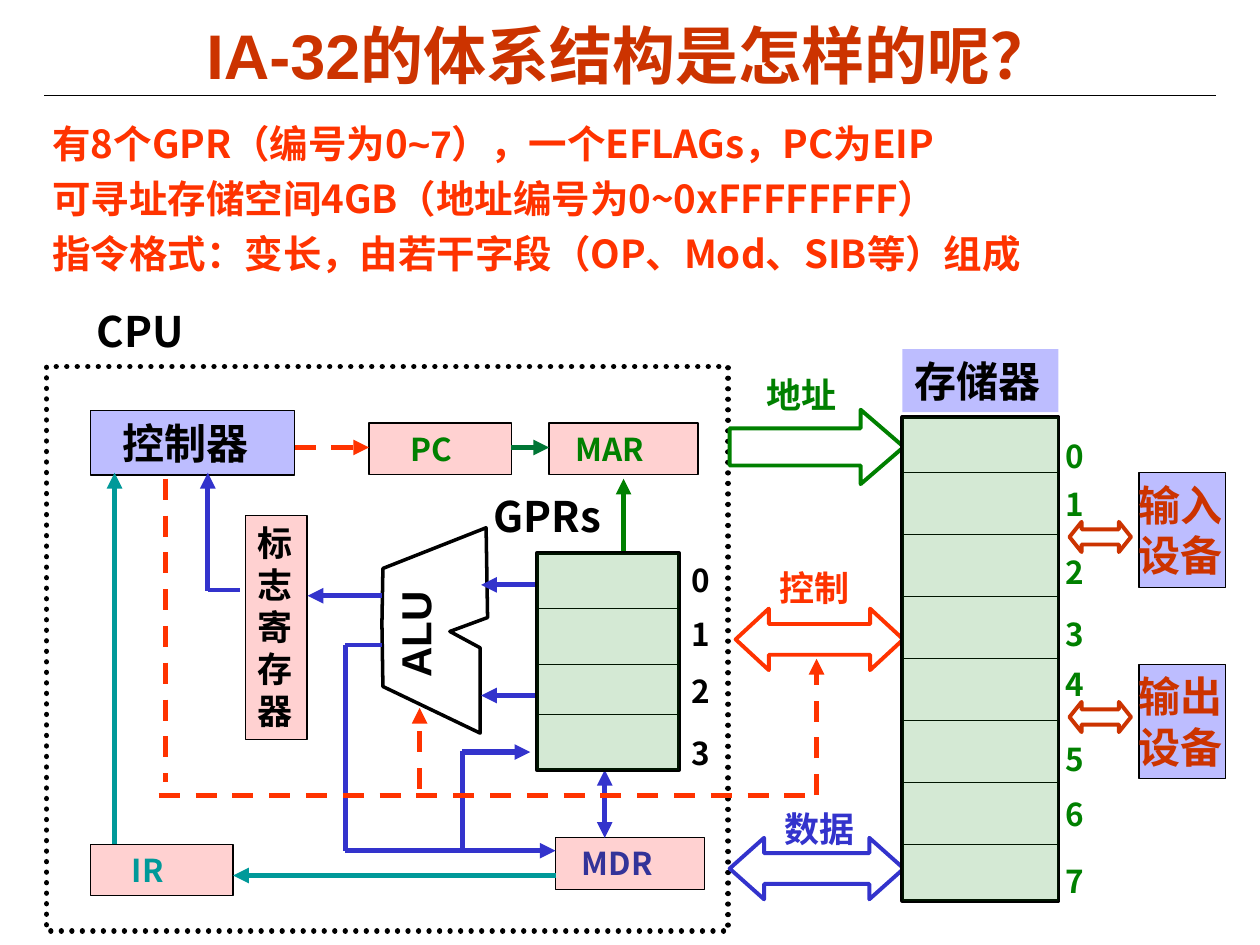
from lxml import etree
from pptx import Presentation
from pptx.dml.color import RGBColor
from pptx.enum.dml import MSO_LINE
from pptx.enum.shapes import MSO_CONNECTOR, MSO_SHAPE
from pptx.enum.text import MSO_ANCHOR, PP_ALIGN
from pptx.oxml.ns import qn
from pptx.util import Cm, Pt

RECT, RIGHT, BOTH = MSO_SHAPE.RECTANGLE, MSO_SHAPE.RIGHT_ARROW, MSO_SHAPE.LEFT_RIGHT_ARROW
STRAIGHT = MSO_CONNECTOR.STRAIGHT
DASH, DOT = MSO_LINE.DASH, MSO_LINE.ROUND_DOT
TOP, MIDDLE = MSO_ANCHOR.TOP, MSO_ANCHOR.MIDDLE
LEFT, CENTER = PP_ALIGN.LEFT, PP_ALIGN.CENTER

THEME = {
    "black": "000000", "white": "FFFFFF", "rust": "CC3300", "red": "FF3300",
    "green": "008000", "pine": "007635", "blue": "3333CC", "navy": "333399",
    "teal": "009999",
    # tints: colour and opacity in percent
    "lilac": ("0000FF", 26), "pink": ("FF0000", 18), "mint": ("008000", 17),
    "title": 36, "head": 24, "body": 22, "label": 20, "small": 18,
    "sans": "Arial", "cjk": "Noto Sans CJK SC",
}


def add_box(x, y, w, h, text=(), size="small", color="black", fill=None, line=None,
            width=0.75, kind=RECT, font="cjk", inset=0.25, right=0.25,
            anchor=TOP, align=LEFT, before=0, spacing=None):
    """Shape (or text box) with one paragraph per item; odd runs are in Arial."""
    pos = Cm(x), Cm(y), Cm(w), Cm(h)
    if fill or line:
        sp = s.shapes.add_shape(kind, *pos)
        sp.shadow.inherit = False
        if fill:
            tint = THEME[fill]
            rgb, alpha = (tint, 100) if isinstance(tint, str) else tint
            sp.fill.solid()
            sp.fill.fore_color.rgb = RGBColor.from_string(rgb)
            if alpha < 100:
                clr = sp.fill._xPr.find(qn("a:solidFill"))[0]
                etree.SubElement(clr, qn("a:alpha"), val=str(alpha * 1000))
        else:
            sp.fill.background()
        if line:
            sp.line.color.rgb = RGBColor.from_string(THEME[line])
            sp.line.width = Pt(width)
        else:
            sp.line.fill.background()
    else:
        sp = s.shapes.add_textbox(*pos)
    tf = sp.text_frame
    frame = {"word_wrap": True, "vertical_anchor": anchor, "margin_left": Cm(inset),
             "margin_right": Cm(right), "margin_top": Cm(0.13), "margin_bottom": Cm(0.13)}
    for name, value in frame.items():
        setattr(tf, name, value)
    for i, runs in enumerate(text):
        p = tf.paragraphs[0] if i == 0 else tf.add_paragraph()
        para = {"alignment": align, "space_before": Pt(before), "line_spacing": spacing}
        for name, value in para.items():
            setattr(p, name, value)
        for j, part in enumerate([runs] if isinstance(runs, str) else runs):
            r = p.add_run()
            r.text = part
            face = THEME["sans" if j % 2 else font]
            for name, value in {"size": Pt(THEME[size]), "bold": True, "name": face}.items():
                setattr(r.font, name, value)
            r.font.color.rgb = RGBColor.from_string(THEME[color])
            etree.SubElement(r.font._element, qn("a:ea"), typeface=THEME["cjk"])
    return sp


def add_line(x1, y1, x2, y2, color="black", width=3, ends="", dash=None):
    """Straight connector; ends names the ends with an arrowhead."""
    c = s.shapes.add_connector(STRAIGHT, Cm(x1), Cm(y1), Cm(x2), Cm(y2))
    c.line.color.rgb = RGBColor.from_string(THEME[color])
    c.line.width = Pt(width)
    if dash:
        c.line.dash_style = dash
    for end in ends.split():
        etree.SubElement(c.line._ln, qn(f"a:{end}End"), type="triangle")
    etree.SubElement(c._element.spPr, qn("a:effectLst"))


prs = Presentation()
prs.slide_width, prs.slide_height = Cm(25.4), Cm(19.05)
s = prs.slides.add_slide(prs.slide_layouts[6])

# Title and rule
add_line(0.89, 1.93, 24.51, 1.93, width=0.75)
add_box(1.27, 0.33, 22.86, 1.55, ["IA-32的体系结构是怎样的呢？"], "title", "rust",
        font="sans", anchor=MIDDLE, align=CENTER)

# CPU frame
sp = add_box(0.94, 7.39, 13.74, 11.38, line="black", width=3)
sp.line.dash_style = DOT
sp.line._ln.set("cap", "rnd")
add_box(1.7, 6.02, 2.36, 1.27, ["CPU"], "head")

# Controller, registers and flags
add_box(1.83, 8.28, 4.11, 1.3, ["控制器"], "head", fill="lilac", line="black", inset=0.65)
for x, y, w, name, color, inset in [
    (7.44, 8.53, 2.87, "PC", "green", 0.83),
    (11.07, 8.53, 3, "MAR", "green", 0.53),
    (11.2, 16.89, 3, "MDR", "navy", 0.53),
    (1.83, 17.02, 2.87, "IR", "teal", 0.83),
]:
    add_box(x, y, w, 1.04, [name], color=color, fill="pink", line="black", inset=inset)
add_box(4.95, 10.39, 1.24, 4.52, "标志寄存器", "label", fill="pink", line="black")

# Input and output devices
for y, arrow_y, name in [(9.53, 10.52, "输入"), (13.39, 14.15, "输出")]:
    add_box(22.96, y, 1.75, 2.31, [name, "设备"], "head", "rust", "lilac", "black",
            inset=0, right=0)
    sp = add_box(21.56, arrow_y, 1.24, 0.61, fill="white", line="rust", width=2.25, kind=BOTH)
    sp.adjustments[1] = 0.4

# ALU
outline = [(9.8, 10.64), (9.83, 12.45), (9.07, 12.73), (9.68, 13.06),
           (9.68, 14.78), (7.72, 13.84), (7.7, 12.57), (7.72, 11.46)]
points = [(Cm(x), Cm(y)) for x, y in outline]
fb = s.shapes.build_freeform(*points[0])
fb.add_line_segments(points[1:], close=True)
sp = fb.convert_to_shape()
sp.shadow.inherit = False
sp.fill.background()
sp.line.color.rgb = RGBColor.from_string(THEME["black"])
sp.line.width = Pt(2)
sp = add_box(7.29, 12.19, 2.26, 1.17, ["ALU"], "head", font="sans", spacing=0.9)
sp.rotation = 270

# Data paths inside the CPU
for path in [
    (10.31, 9.02, 11.07, 9.02, "pine", 3, "tail"),
    (12.19, 15.52, 12.19, 16.89, "blue", 3, "head tail"),
    (10.82, 11.79, 9.7, 11.79, "blue", 3, "tail"),
    (10.82, 14.02, 9.7, 14.02, "blue", 3, "tail"),
    (7.7, 12.01, 6.2, 12.01, "blue", 3, "tail"),
    (4.83, 11.89, 4.19, 11.89, "blue", 2.25),
    (4.19, 11.91, 4.19, 9.53, "blue", 3, "tail"),
    (12.57, 11.15, 12.57, 9.65, "green", 3, "tail"),
    (6.96, 13, 6.96, 17.15, "blue"),
    (6.96, 17.15, 11.2, 17.15, "blue", 3, "tail"),
    (7.7, 13, 6.96, 13, "blue", 2.25),
    (9.32, 17.15, 9.32, 15.14, "blue"),
    (9.32, 15.16, 10.69, 15.16, "blue", 3, "tail"),
    (11.2, 17.65, 4.7, 17.65, "teal", 3, "tail"),
    (2.31, 17.02, 2.31, 9.53, "teal", 3, "tail"),
]:
    add_line(*path)

# Buses: label, then arrow
for label, color, lx, ly, lw, x, y, w, h, kind, head in [
    ("地址", "green", 15.21, 7.39, 2.39, 14.71, 8.26, 3.51, 1.5, RIGHT, 0.58),
    ("控制", "red", 15.47, 11.3, 2.39, 14.83, 12.27, 3.38, 1.24, BOTH, 0.54),
    ("数据", "blue", 15.57, 16.15, 2.13, 14.71, 16.89, 3.51, 1.24, BOTH, 0.56),
]:
    add_box(lx, ly, lw, 1.09, [label], "label", color)
    sp = add_box(x, y, w, h, fill="white", line=color, width=2.25, kind=kind)
    sp.adjustments[1] = head

# Control signals
for x1, y1, x2, y2, ends in [
    (5.94, 9.02, 7.44, 9.02, "tail"),
    (3.2, 16.03, 16.33, 16.03, ""),
    (3.33, 9.65, 3.33, 15.77, ""),
    (8.46, 15.9, 8.46, 14.27, "tail"),
    (16.46, 16.03, 16.46, 13.28, "tail"),
]:
    add_line(x1, y1, x2, y2, "red", ends=ends, dash=DASH)

# Register file and memory: frame, cell rules, cell numbers, tint
add_box(9.7, 9.75, 3.25, 1.27, ["GPRs"], "head")
add_box(18.19, 7.04, 3.15, 1.27, ["存储器"], "head", fill="lilac")
for x, y, w, h, rules, label_x, label_ys, color in [
    (10.82, 11.15, 2.87, 4.37, [12.27, 13.39, 14.4],
     13.69, [11.18, 12.27, 13.41, 14.66], "black"),
    (18.19, 8.41, 3.15, 9.75, [9.53 + 1.25 * i for i in range(7)],
     21.23, [8.69, 9.65, 11.02, 12.27, 13.28, 14.78, 15.9, 17.25], "green"),
]:
    add_box(x, y, w, h, fill="white", line="black", width=2.25)
    for rule_y in rules:
        add_line(x, rule_y, x + w, rule_y, width=0.75)
    for i, label_y in enumerate(label_ys):
        add_box(label_x, label_y, 0.86, 1.02, [str(i)], color=color)
    add_box(x, y, w, h, fill="mint")

# Key facts
add_box(0.81, 2.29, 23.24, 3.43, [
    ("有8个GPR（编号为0", "~7", "），一个EFLAGs，PC为EIP"),
    "可寻址存储空间4GB（地址编号为0~0xFFFFFFFF）",
    "指令格式：变长，由若干字段（OP、Mod、SIB等）组成",
], "body", "red", before=5)

prs.save("out.pptx")
